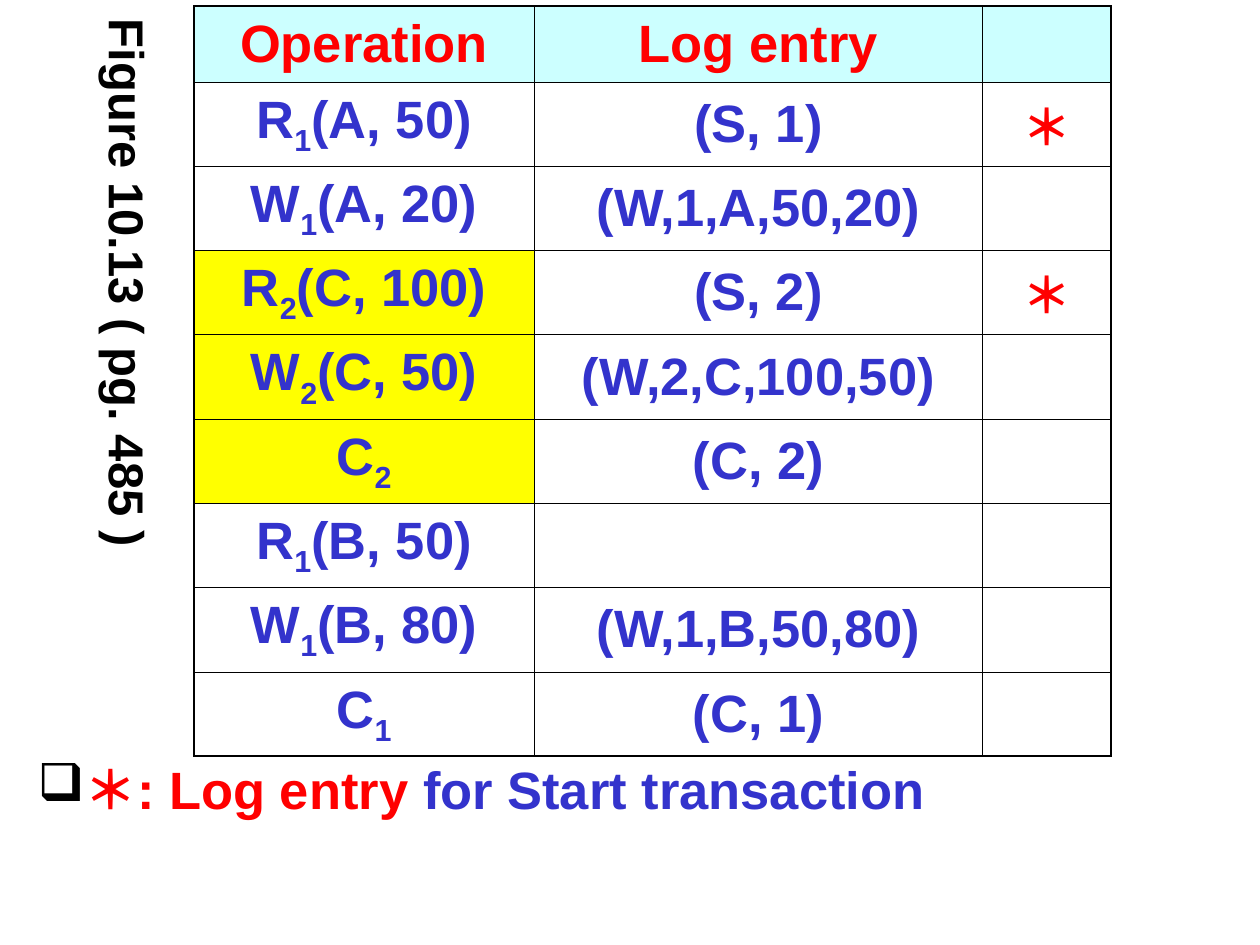
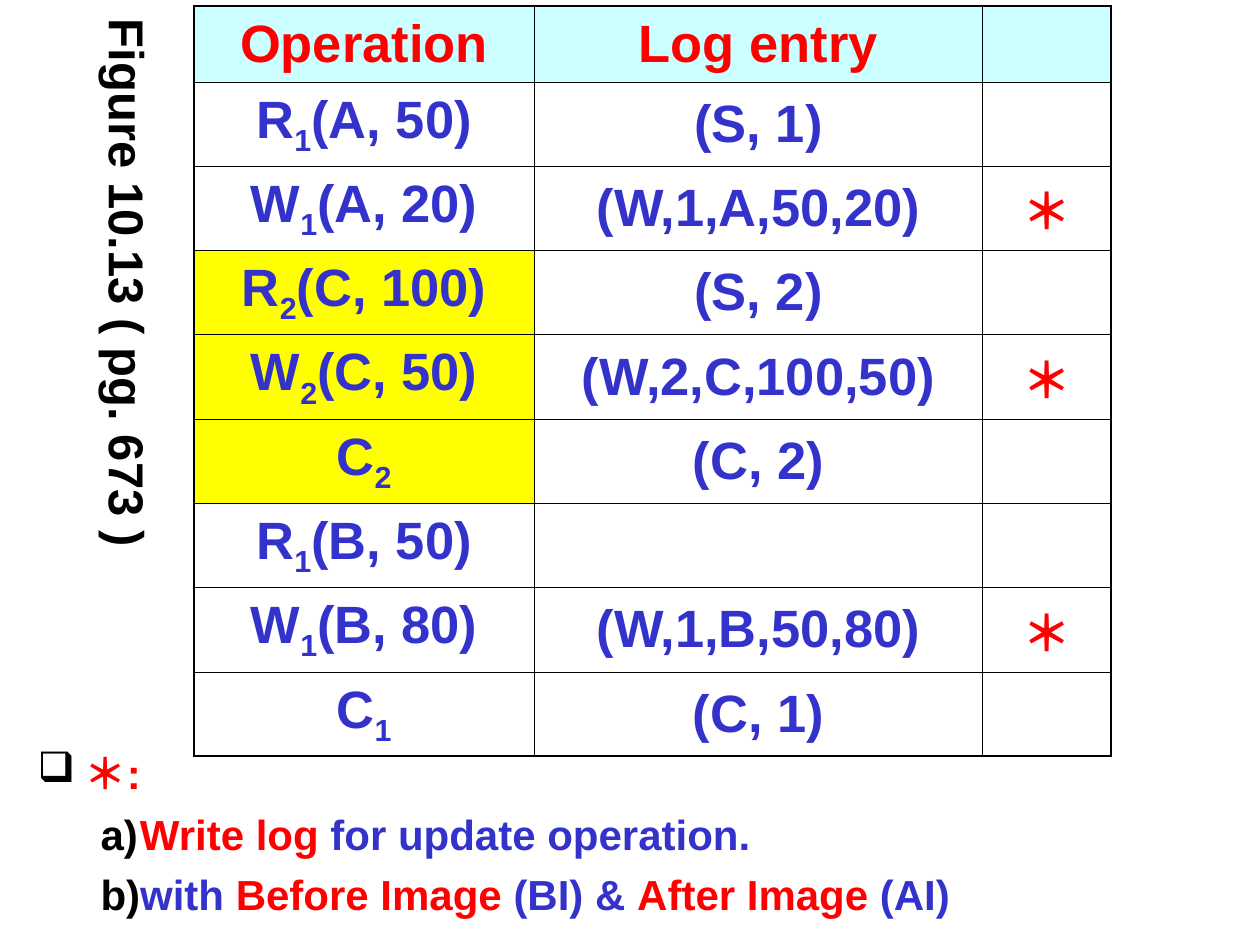
from lxml.etree import SubElement
from pptx import Presentation
from pptx.dml.color import RGBColor
from pptx.enum.text import MSO_ANCHOR, MSO_AUTO_SIZE, PP_ALIGN
from pptx.oxml.ns import qn
from pptx.util import Pt

FONT = "Arial"
BLACK, WHITE, RED, BLUE = "000000", "FFFFFF", "FF0000", "3333CC"
HEADER_FILL, HIGHLIGHT = "CCFFFF", "FFFF00"
OUTER_LINE, INNER_LINE = 1.08, 0.45
COLUMN_WIDTHS = (194.4, 256.3, 73.4)
HEADER_HEIGHT, ROW_HEIGHT = 39.6, 46.8
START_MARK = "＊"
TITLE_ONLY = 5

# Operation and the log entry it produces
SCHEDULE = [
    ("R1(A, 50)", "(S, 1)"),
    ("W1(A, 20)", "(W,1,A,50,20)"),
    ("R2(C, 100)", "(S, 2)"),
    ("W2(C, 50)", "(W,2,C,100,50)"),
    ("C2", "(C, 2)"),
    ("R1(B, 50)", ""),
    ("W1(B, 80)", "(W,1,B,50,80)"),
    ("C1", "(C, 1)"),
]


def rgb(value):
    return RGBColor.from_string(value)


class Deck:
    def __init__(self):
        self.presentation = Presentation()
        self.presentation.slide_width = Pt(720)
        self.presentation.slide_height = Pt(540)
        self.slide = None

    def add_slide(self):
        layout = self.presentation.slide_layouts[TITLE_ONLY]
        self.slide = self.presentation.slides.add_slide(layout)

    def style(self, paragraph, size, color=None):
        font = paragraph.font
        font.name, font.size, font.bold = FONT, Pt(size), True
        if color:
            font.color.rgb = rgb(color)

    def caption(self, text):
        """Put the slide title in a vertical strip left of the table."""
        title = self.slide.shapes.title
        title.left, title.top, title.width, title.height = Pt(49.7), Pt(3.6), Pt(47.5), Pt(329)
        frame = title.text_frame
        frame.text = text
        frame.auto_size = MSO_AUTO_SIZE.NONE
        frame.margin_left = frame.margin_right = Pt(3.6)
        frame.margin_top = frame.margin_bottom = Pt(7.2)
        title.element.find(".//" + qn("a:bodyPr")).set("vert", "eaVert")
        paragraph = frame.paragraphs[0]
        paragraph.alignment = PP_ALIGN.CENTER
        self.style(paragraph, 28, BLACK)

    def bullet(self, paragraph, numbered):
        indent, hanging = (58.5, 22.5) if numbered else (27, 27)
        properties = paragraph._p.get_or_add_pPr()
        properties.set("marL", str(Pt(indent)))
        properties.set("indent", str(-Pt(hanging)))
        color = SubElement(properties, qn("a:buClr"))
        SubElement(color, qn("a:srgbClr"), val=BLACK)
        if numbered:
            properties.set("lvl", "1")
            SubElement(properties, qn("a:buAutoNum"), type="alphaLcParenR")
        else:
            SubElement(properties, qn("a:buChar"), char="❑")

    def legend(self, top, size, lines):
        """Explain the mark: a bulleted line, then lettered lines of (text, colour) runs."""
        box = self.slide.shapes.add_textbox(Pt(14.4), Pt(top), Pt(703.4), Pt(540.7 - top))
        box.fill.solid()
        box.fill.fore_color.rgb = rgb(WHITE)
        frame = box.text_frame
        frame.word_wrap = True
        for index, runs in enumerate(lines):
            paragraph = frame.add_paragraph() if index else frame.paragraphs[0]
            if index:
                paragraph.space_before = Pt(6)
            self.bullet(paragraph, numbered=index > 0)
            self.style(paragraph, size)
            for text, color in runs:
                run = paragraph.add_run()
                run.text = text
                run.font.color.rgb = rgb(color)

    def border(self, cell, at_edge):
        properties = cell._tc.get_or_add_tcPr()
        for side in "LRTB":
            width = OUTER_LINE if at_edge[side] else INNER_LINE
            line = SubElement(properties, qn(f"a:ln{side}"), w=str(Pt(width)))
            fill = SubElement(line, qn("a:solidFill"))
            SubElement(fill, qn("a:srgbClr"), val=BLACK)

    def cell(self, cell, text, size, color, fill, subscript):
        """Fill a cell; with subscript, the second character is lowered."""
        cell.fill.solid()
        cell.fill.fore_color.rgb = rgb(fill)
        cell.vertical_anchor = MSO_ANCHOR.MIDDLE
        paragraph = cell.text_frame.paragraphs[0]
        paragraph.alignment = PP_ALIGN.CENTER
        self.style(paragraph, size, color)
        parts = (text[0], text[1], text[2:]) if subscript else (text,)
        for index, part in enumerate(parts):
            if part:
                run = paragraph.add_run()
                run.text = part
                if index == 1:
                    run._r.get_or_add_rPr().set("baseline", "-25000")

    def log_table(self, marked):
        """Draw the schedule, with a mark beside each operation in marked."""
        rows = [("Operation", "Log entry", "")]
        rows += [(operation, entry, START_MARK if operation in marked else "")
                 for operation, entry in SCHEDULE]
        height = HEADER_HEIGHT + ROW_HEIGHT * len(SCHEDULE)
        table = self.slide.shapes.add_table(
            len(rows), len(COLUMN_WIDTHS), Pt(110.9), Pt(3.6),
            Pt(sum(COLUMN_WIDTHS)), Pt(height)).table
        table.first_row = table.horz_banding = False
        for column, width in zip(table.columns, COLUMN_WIDTHS):
            column.width = Pt(width)
        last_row, last_column = len(rows) - 1, len(COLUMN_WIDTHS) - 1
        for r, values in enumerate(rows):
            header = r == 0
            table.rows[r].height = Pt(HEADER_HEIGHT if header else ROW_HEIGHT)
            for c, text in enumerate(values):
                mark, operation = c == last_column, c == 0 and not header
                if header:
                    fill = HEADER_FILL
                else:
                    # Transaction 2 is highlighted
                    fill = HIGHLIGHT if operation and text[1] == "2" else WHITE
                target = table.cell(r, c)
                self.border(target, {"L": c == 0, "R": mark, "T": header, "B": r == last_row})
                self.cell(target, text, 28 if mark else 30,
                          RED if header or mark else BLUE, fill, subscript=operation)


def main():
    deck = Deck()

    deck.add_slide()
    deck.caption("Figure 10.13 ( pg. 485 )")
    deck.legend(429.1, 30, [
        [(START_MARK + ": Log entry", RED), (" for Start transaction", BLUE)],
    ])
    deck.log_table({"R1(A, 50)", "R2(C, 100)"})

    deck.add_slide()
    deck.caption("Figure 10.13 ( pg. 673 )")
    deck.legend(423.4, 24, [
        [(START_MARK + ":", RED)],
        [("Write log", RED), (" for update operation.", BLUE)],
        [("with ", BLUE), ("Before Image", RED), (" (BI) & ", BLUE),
         ("After Image", RED), (" (AI)", BLUE)],
    ])
    deck.log_table({"W1(A, 20)", "W2(C, 50)", "W1(B, 80)"})

    deck.presentation.save("out.pptx")


if __name__ == "__main__":
    main()
